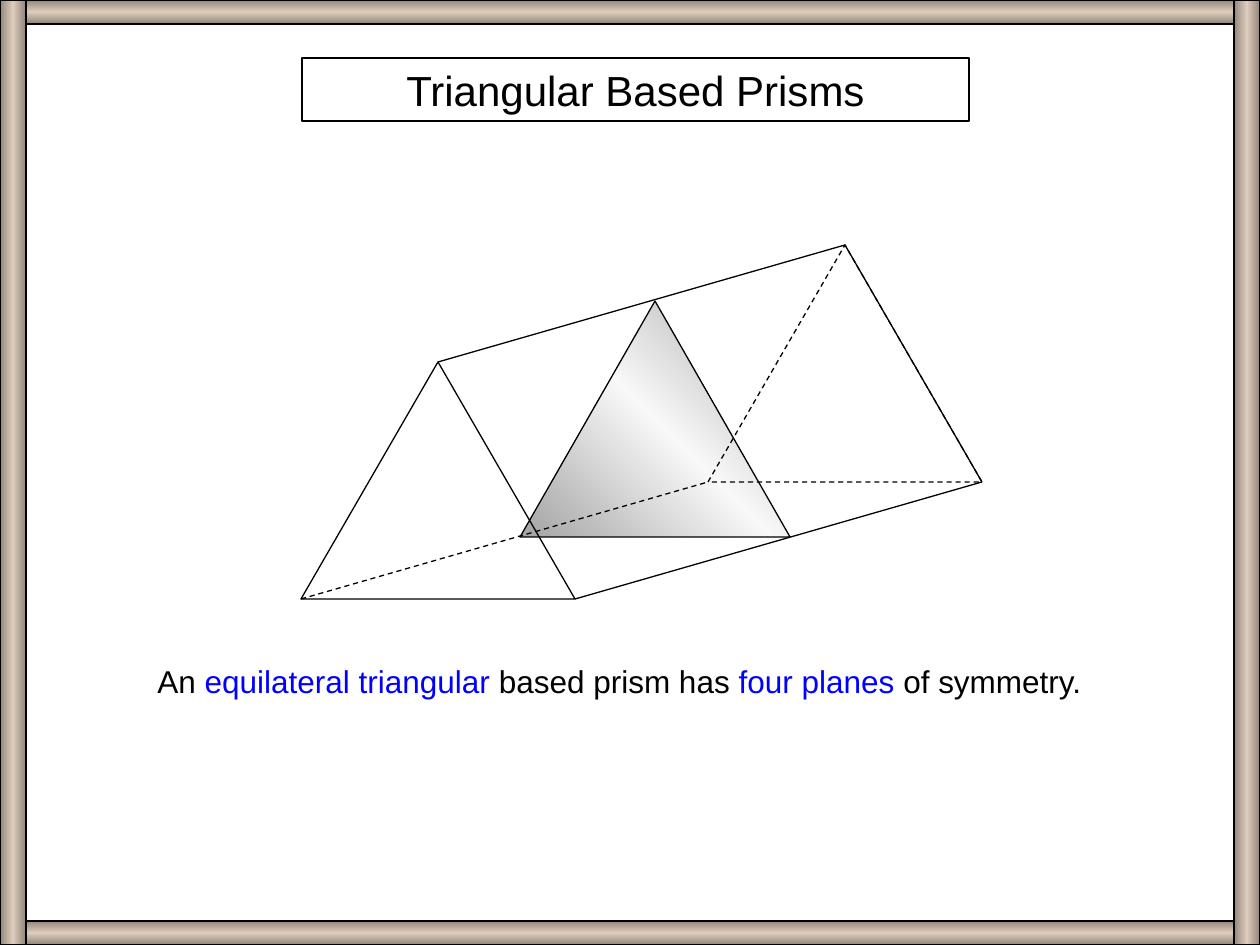
from copy import deepcopy

from lxml.etree import SubElement
from pptx import Presentation
from pptx.dml.color import RGBColor
from pptx.enum.dml import MSO_LINE_DASH_STYLE as Dash
from pptx.enum.shapes import MSO_CONNECTOR_TYPE as Connector, MSO_SHAPE as Shape
from pptx.enum.text import MSO_AUTO_SIZE as AutoSize, PP_ALIGN as Align
from pptx.oxml.ns import qn
from pptx.util import Pt

PX = 914400 / 126
WIDTH, HEIGHT = 1260, 945

BLACK = RGBColor(0x00, 0x00, 0x00)
BLUE = RGBColor(0x00, 0x00, 0xFF)
BRONZE = RGBColor(0x92, 0x86, 0x7C)
CREAM = RGBColor(0xDE, 0xCC, 0xBC)
GREY = RGBColor(0xA3, 0xA3, 0xA3)
PALE_GREY = RGBColor(0xF8, 0xF8, 0xF8)


def emu(*lengths):
    return [round(length * PX) for length in lengths]


def outline(shape, dash=None):
    shape.line.color.rgb = BLACK
    formats = {"width": Pt(0.75), "dash_style": dash}
    for name, value in formats.items():
        setattr(shape.line, name, value)


def fill_band(shape, edge, middle, angle):
    """Fill with a gradient that runs edge, middle, edge."""
    shape.fill.gradient()
    shape.fill.gradient_angle = angle
    stop_list = shape._element.spPr.find(qn("a:gradFill")).find(qn("a:gsLst"))
    stop_list.append(deepcopy(stop_list[0]))
    values = zip(shape.fill.gradient_stops, (0, 0.5, 1), (edge, middle, edge))
    for stop, position, color in values:
        stop.position = position
        stop.color.rgb = color


def add_outlined(shapes, kind, box, dash=None):
    shape = shapes.add_shape(kind, *emu(*box))
    shape.shadow.inherit = False
    shape.fill.background()
    outline(shape, dash)
    return shape


def add_edge(shapes, start, end, dash=None):
    edge = shapes.add_connector(Connector.STRAIGHT, *emu(*start, *end))
    SubElement(edge._element.spPr, qn("a:effectLst"))
    outline(edge, dash)


def corners(left, top, width, height):
    """Apex, bottom right and bottom left of an isosceles triangle."""
    bottom = top + height
    return (left + width / 2, top), (left + width, bottom), (left, bottom)


def add_cross_section(shapes, box):
    apex, *base = corners(*box)
    builder = shapes.build_freeform(*apex, scale=PX)
    builder.add_line_segments(base, close=True)
    section = builder.convert_to_shape()
    section.shadow.inherit = False
    fill_band(section, GREY, PALE_GREY, 225)
    outline(section)


def add_prism(slide, box):
    left, top, width, height = box
    end_width, end_height = 274, 237
    front = (left, top + height - end_height, end_width, end_height)
    back = (left + width - end_width, top, end_width, end_height)
    add_cross_section(slide.shapes, (left + 219, top + 56, 270, 236))

    shapes = slide.shapes.add_group_shape().shapes
    add_outlined(shapes, Shape.ISOSCELES_TRIANGLE, front)
    add_outlined(shapes, Shape.ISOSCELES_TRIANGLE, back, Dash.DASH)
    dashes = (None, None, Dash.DASH)
    for start, end, dash in zip(corners(*front), corners(*back), dashes):
        add_edge(shapes, start, end, dash)
    back_apex, back_right, _ = corners(*back)
    add_edge(shapes, back_apex, back_right)


def write(shape, runs, size, align):
    frame = shape.text_frame
    formats = {"word_wrap": True, "auto_size": AutoSize.SHAPE_TO_FIT_TEXT}
    for name, value in formats.items():
        setattr(frame, name, value)
    paragraph = frame.paragraphs[0]
    paragraph.alignment = align
    for text, color in runs:
        run = paragraph.add_run()
        run.text = text
        run.font.color.rgb = color
        for name, value in {"name": "Arial", "size": Pt(size)}.items():
            setattr(run.font, name, value)


def add_title(slide, box):
    title = add_outlined(slide.shapes, Shape.RECTANGLE, box)
    write(title, [("Triangular Based Prisms", BLACK)], 24, Align.CENTER)


def add_statement(slide, box):
    runs = [
        ("An ", BLACK),
        ("equilateral triangular", BLUE),
        (" based prism has ", BLACK),
        ("four planes", BLUE),
        (" of symmetry.", BLACK),
    ]
    write(slide.shapes.add_textbox(*emu(*box)), runs, 18, Align.LEFT)


def add_frame(slide, box):
    left, top, width, height = box
    rail, post = 24, 26
    bars = [
        ((left, top, width, rail), 90),
        ((left, top + height - rail, width, rail), 90),
        ((left, top, post, height), 0),
        ((left + width - post, top, post, height), 0),
    ]
    for bar_box, angle in bars:
        bar = add_outlined(slide.shapes, Shape.RECTANGLE, bar_box)
        fill_band(bar, BRONZE, CREAM, angle)


def main():
    presentation = Presentation()
    presentation.slide_width, presentation.slide_height = emu(WIDTH, HEIGHT)
    slide = presentation.slides.add_slide(presentation.slide_layouts[6])
    add_prism(slide, (301, 245, 681, 354))
    add_title(slide, (302, 58, 667, 63))
    add_statement(slide, (145, 656, 982, 50))
    add_frame(slide, (0, 0, WIDTH, HEIGHT))
    presentation.save("out.pptx")


if __name__ == "__main__":
    main()
